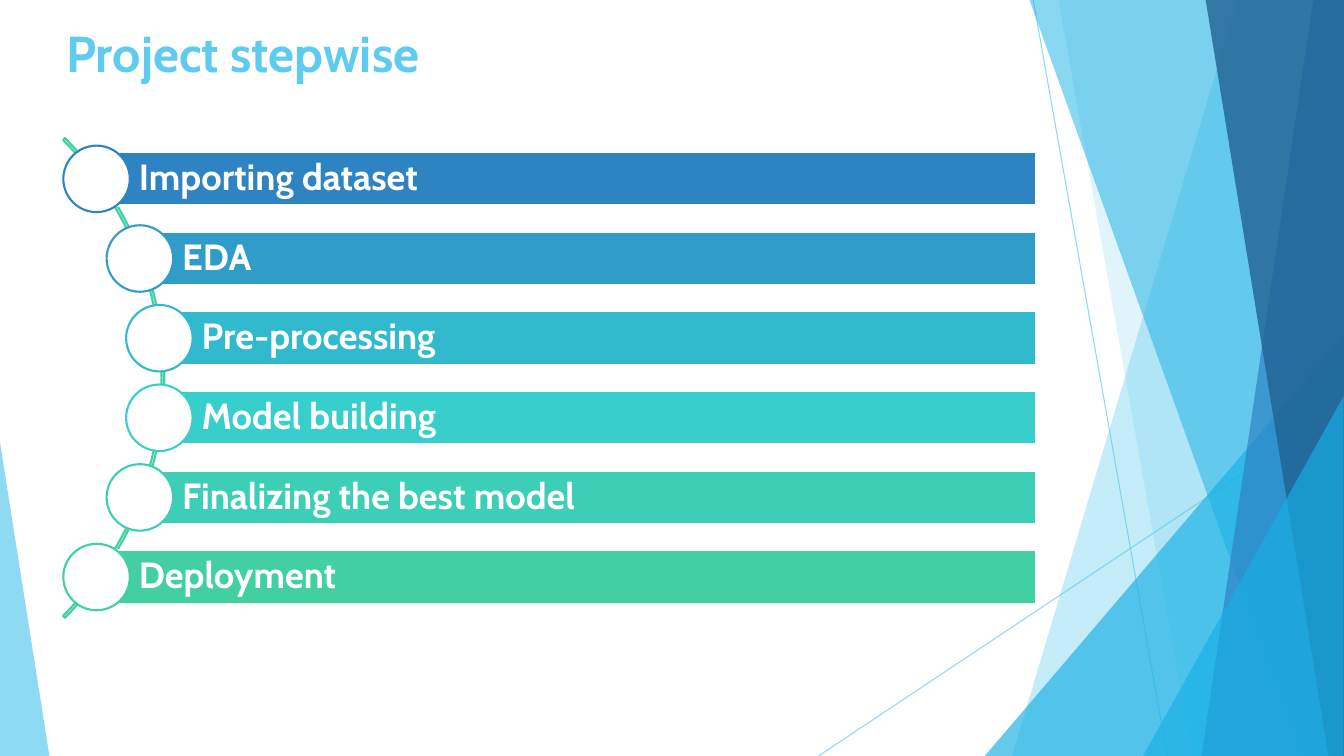
import math

import pptx
import pptx.dml.color
import pptx.enum.shapes
import pptx.enum.text
import pptx.oxml.ns
import pptx.util
from lxml import etree

SHAPE = pptx.enum.shapes.MSO_SHAPE
ANCHOR = pptx.enum.text.MSO_ANCHOR
qn = pptx.oxml.ns.qn

COLS, ROWS = 400 / 3, 75  # square cells, a tenth of an inch
SKY, AZURE, BLUE, NAVY = "5FCBEF", "17B0E4", "2E83C3", "226292"
WHITE, GREEN = "FFFFFF", "42D0A2"

STEPS = [
    ("Importing dataset", BLUE),
    ("EDA", "309DC8"),
    ("Pre-processing", "31B9CD"),
    ("Model building", "37CECB"),
    ("Finalizing the best model", "3CCFB6"),
    ("Deployment", GREEN),
]
# Bands reach the right edge: left end at the top, left end at the bottom
BANDS_BEHIND = [(122.8, 100.4, SKY, 36), (105, 118.3, SKY, 20)]
BANDS_FRONT = [(102.1, 129.1, AZURE, 50), (130.3, 119.2, BLUE, 70),
               (119.6, 131.8, NAVY, 80)]


def rgb(colour):
    return pptx.dml.color.RGBColor.from_string(colour)


class Deck:
    """Style and current slide; lengths are grid cells."""

    font = "Cabin"
    line_width = 1.5

    def __init__(self):
        self.prs = pptx.Presentation()
        self.prs.slide_width = pptx.util.Emu(12192000)
        self.prs.slide_height = pptx.util.Inches(7.5)
        self.s = self.prs.slides.add_slide(self.prs.slide_layouts[6])

    def grid(self, *lengths):
        return [round(n * self.prs.slide_height / ROWS) for n in lengths]

    def fade(self, sp, opacity):
        """Set the opacity, in percent, of the shape's first colour."""
        colour = sp._element.spPr.find(".//" + qn("a:srgbClr"))
        etree.SubElement(colour, qn("a:alpha"), val=str(opacity * 1000))

    def paint(self, sp, fill=None, line=None, opacity=100):
        sp.shadow.inherit = False
        if fill:
            sp.fill.solid()
            sp.fill.fore_color.rgb = rgb(fill)
        else:
            sp.fill.background()
        if line:
            sp.line.color.rgb = rgb(line)
            sp.line.width = pptx.util.Pt(self.line_width)
        else:
            sp.line.fill.background()
        if opacity < 100:
            self.fade(sp, opacity)

    def shape(self, kind, box, adjust=(), **style):
        sp = self.s.shapes.add_shape(kind, *self.grid(*box))
        for i, value in enumerate(adjust):
            sp.adjustments[i] = value
        self.paint(sp, **style)
        return sp

    def band(self, top_x, bottom_x, fill, opacity):
        points = [self.grid(*point) for point in (
            (top_x, -0.1), (COLS, -0.1), (COLS, ROWS), (bottom_x, ROWS))]
        outline = self.s.shapes.build_freeform(*points[0])
        outline.add_line_segments(points[1:], close=True)
        self.paint(outline.convert_to_shape(), fill=fill, opacity=opacity)

    def hairline(self, ends, colour, opacity):
        sp = self.s.shapes.add_connector(
            pptx.enum.shapes.MSO_CONNECTOR.STRAIGHT, *self.grid(*ends))
        sp.line.color.rgb = rgb(colour)
        sp.line.width = pptx.util.Pt(0.75)
        self.fade(sp, opacity)
        etree.SubElement(sp._element.spPr, qn("a:effectLst"))

    def label(self, sp, text, size, colour, anchor, insets, spacing=1.0):
        tf = sp.text_frame
        tf.word_wrap = True
        tf.vertical_anchor = anchor
        (tf.margin_left, tf.margin_top,
         tf.margin_right, tf.margin_bottom) = self.grid(*insets)
        p = tf.paragraphs[0]
        p.text = text
        p.alignment = pptx.enum.text.PP_ALIGN.LEFT
        p.line_spacing = spacing
        p.font.name = self.font
        p.font.size = pptx.util.Pt(size)
        p.font.bold = True
        p.font.color.rgb = rgb(colour)

    def title(self, text, box):
        sp = self.s.shapes.add_textbox(*self.grid(*box))
        self.label(sp, text, 36, SKY, ANCHOR.TOP, (1, 0.5, 1, 0.5))

    def step(self, text, colour, x, y):
        """Draw a bar whose left end is centred on x, y, with its circle."""
        height, right, diameter = 5.3, 102.8, 6.6
        bar = self.shape(SHAPE.RECTANGLE, (x, y - height / 2, right - x, height),
                         fill=colour, line=WHITE)
        self.label(bar, text, 26, WHITE, ANCHOR.MIDDLE,
                   (4.2, 0.7, 0.7, 0.7), 0.9)
        self.shape(SHAPE.OVAL, (x - diameter / 2, y - diameter / 2,
                                diameter, diameter), fill=WHITE, line=colour)


def draw_backdrop(deck):
    deck.hairline((102.5, 0, 115.8, ROWS), SKY, 70)
    deck.hairline((COLS, 40.3, 81.2, ROWS), SKY, 70)
    for band in BANDS_BEHIND:
        deck.band(*band)
    deck.shape(SHAPE.ISOSCELES_TRIANGLE, (97.7, 33.3, 35.6, 41.7), [1],
               fill=AZURE, opacity=66)
    for band in BANDS_FRONT:
        deck.band(*band)
    deck.shape(SHAPE.ISOSCELES_TRIANGLE, (113.4, 39.3, 19.9, 35.7), [1],
               fill=AZURE, opacity=66)
    deck.shape(SHAPE.ISOSCELES_TRIANGLE, (0, 43.9, 4.9, 31.1), [0],
               fill=SKY, opacity=70)


def draw_steps(deck):
    """Hang the steps, evenly spaced, along an arc."""
    arc_x, arc_y, diameter, radius, pitch = -17.35, 37.5, 67.3, 33.4, 7.9
    deck.shape(SHAPE.BLOCK_ARC, (arc_x - diameter / 2, arc_y - diameter / 2,
                                 diameter, diameter),
               [189, 27, 0.4 / 100], line=GREEN)
    for i, (text, colour) in enumerate(STEPS):
        drop = (i - (len(STEPS) - 1) / 2) * pitch
        x = arc_x + math.sqrt(radius ** 2 - drop ** 2)
        deck.step(text, colour, x, arc_y + drop)


def main():
    deck = Deck()
    draw_backdrop(deck)
    deck.title("Project stepwise", (5.6, 1.7, 109.6, 10.8))
    draw_steps(deck)
    deck.prs.save("out.pptx")


if __name__ == "__main__":
    main()
